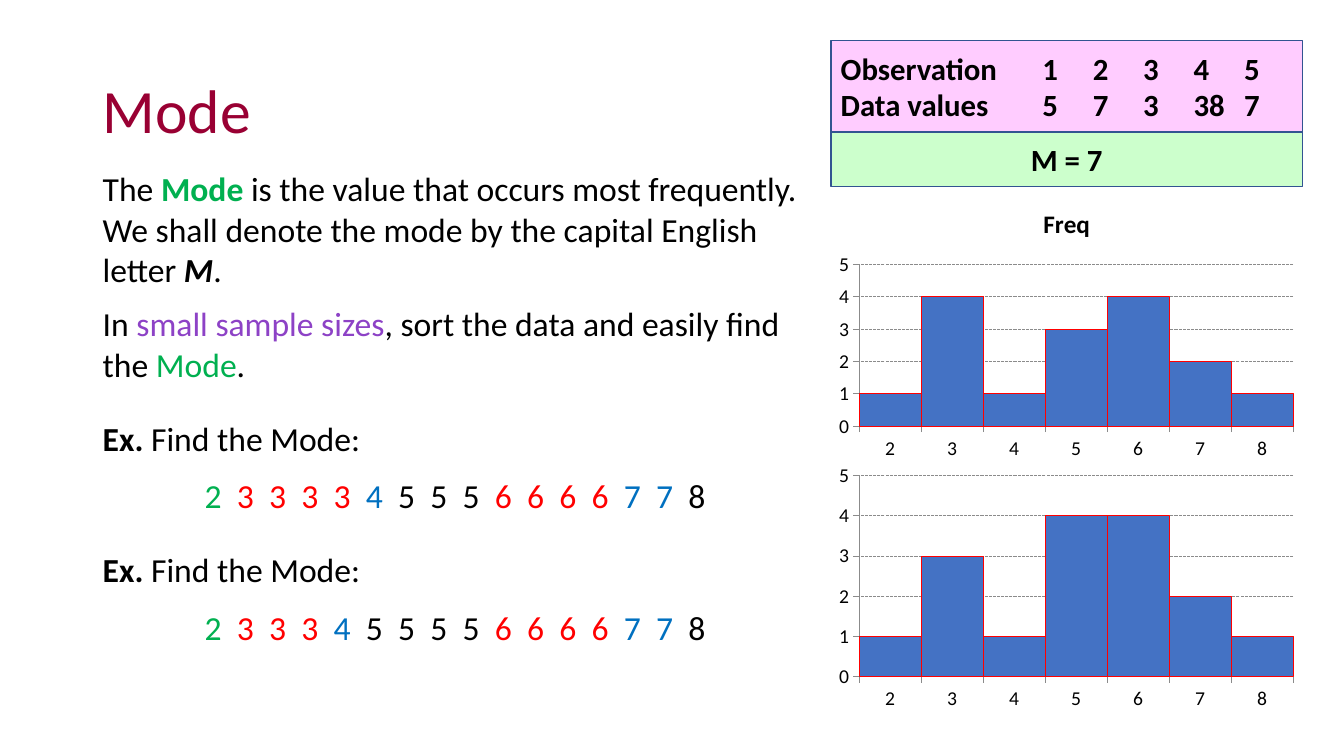
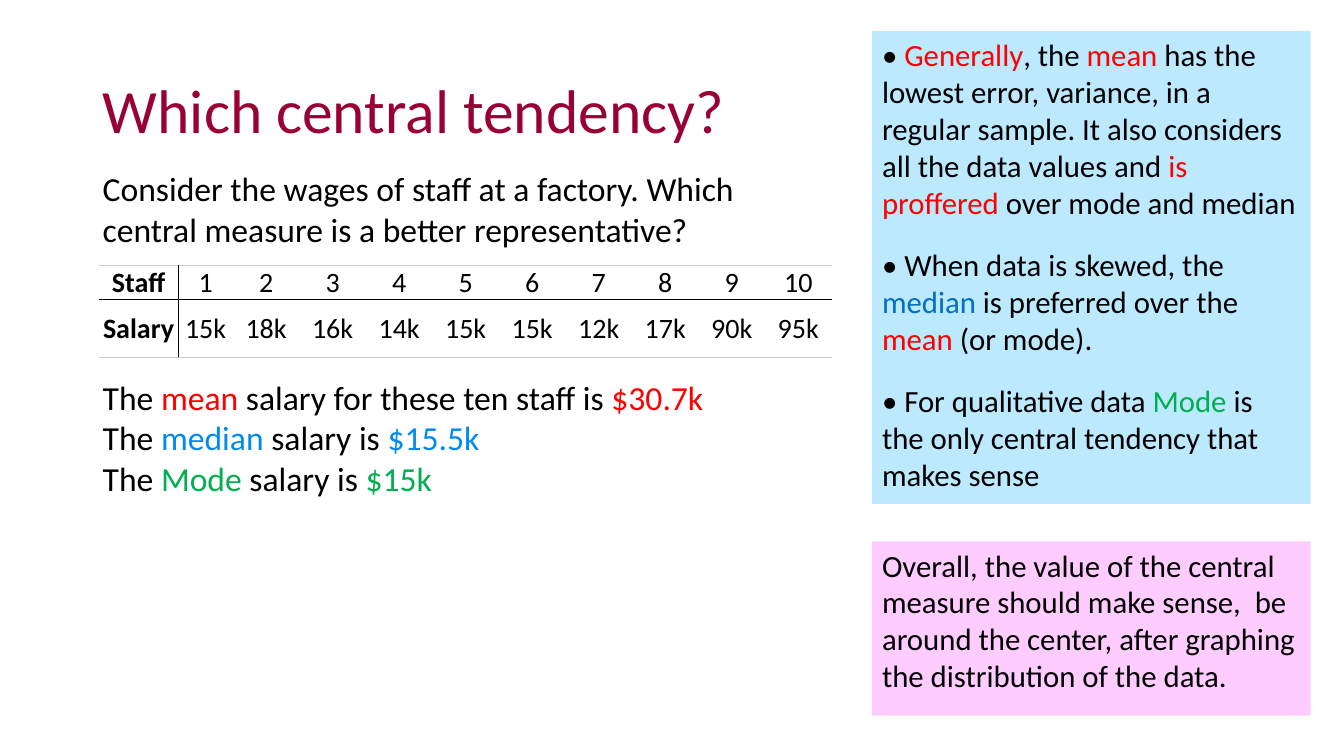
from itertools import groupby

from lxml import etree
from pptx import Presentation
from pptx.chart.data import CategoryChartData
from pptx.dml.color import RGBColor
from pptx.enum.chart import XL_CHART_TYPE, XL_TICK_MARK
from pptx.enum.dml import MSO_LINE
from pptx.enum.shapes import MSO_SHAPE
from pptx.enum.text import MSO_ANCHOR, MSO_AUTO_SIZE, PP_ALIGN
from pptx.oxml.ns import qn
from pptx.util import Inches, Pt

BLACK = RGBColor(0x00, 0x00, 0x00)
GRAY = RGBColor(0x8B, 0x8B, 0x8B)
LIGHT_GRAY = RGBColor(0xCC, 0xCC, 0xCC)
CRIMSON = RGBColor(0x99, 0x00, 0x33)
RED = RGBColor(0xFF, 0x00, 0x00)
GREEN = RGBColor(0x00, 0xB0, 0x50)
BLUE = RGBColor(0x00, 0x70, 0xC0)
BRIGHT_BLUE = RGBColor(0x00, 0x8A, 0xF2)
PURPLE = RGBColor(0x8D, 0x42, 0xC6)
BAR_BLUE = RGBColor(0x44, 0x72, 0xC4)
OUTLINE = RGBColor(0x32, 0x54, 0x91)
PINK = RGBColor(0xFF, 0xCC, 0xFF)
PALE_GREEN = RGBColor(0xCC, 0xFF, 0xCC)
PALE_BLUE = RGBColor(0xBD, 0xE9, 0xFF)

FONT = "Calibri"
BODY_SIZE, BOX_SIZE = 24, 22
LEFT = 0.92
PANEL_LEFT, PANEL_WIDTH = 8.24, 4.68


def write(frame, paragraphs, size, gap=0, align=PP_ALIGN.LEFT, tabs=(), **base):
    """Fill a text frame; a span is plain text or a (text, format) pair.

    The gap in points separates paragraphs, tabs are stops in inches.
    """
    frame.word_wrap = True
    for index, spans in enumerate(paragraphs):
        para = frame.add_paragraph() if index else frame.paragraphs[0]
        para.alignment = align
        para.space_before = Pt(gap if index else 0)
        if tabs:
            stops = etree.SubElement(para._p.get_or_add_pPr(), qn("a:tabLst"))
            for stop in tabs:
                etree.SubElement(stops, qn("a:tab"), pos=str(int(Inches(stop))), algn="l")
        for item in spans:
            text, special = (item, {}) if isinstance(item, str) else item
            span = para.add_run()
            span.text = text
            style = {"name": FONT, "size": Pt(size), "color": BLACK, **base, **special}
            span.font.color.rgb = style.pop("color")
            for name, value in style.items():
                setattr(span.font, name, value)


def add_box(page, bounds, paragraphs, size, fill=None, line=None,
            anchor=MSO_ANCHOR.TOP, **text_format):
    """Add a text box, or a rectangle when a fill is given."""
    place = [Inches(value) for value in bounds]
    if fill is None:
        box = page.shapes.add_textbox(*place)
    else:
        box = page.shapes.add_shape(MSO_SHAPE.RECTANGLE, *place)
        box.shadow.inherit = False
        box.fill.solid()
        box.fill.fore_color.rgb = fill
        if line is None:
            box.line.fill.background()
        else:
            box.line.color.rgb = line
            box.line.width = Pt(1)
    box.text_frame.vertical_anchor = anchor
    write(box.text_frame, paragraphs, size, **text_format)
    return box


deck = Presentation()
deck.slide_width, deck.slide_height = Inches(13.33), Inches(7.5)

pages = []
for heading, width in (("Mode", 7.18), ("Which central tendency?", 7.6)):
    page = deck.slides.add_slide(deck.slide_layouts[5])
    title = page.shapes.title
    title.left, title.top = Inches(LEFT), Inches(0.4)
    title.width, title.height = Inches(width), Inches(1.45)
    title.text_frame.auto_size = MSO_AUTO_SIZE.NONE
    title.text_frame.vertical_anchor = MSO_ANCHOR.MIDDLE
    write(title.text_frame, [[heading]], 44, color=CRIMSON)
    title.text_frame.paragraphs[0].line_spacing = 0.9
    pages.append(page)
mode_page, choice_page = pages

red, green, blue = {"color": RED}, {"color": GREEN}, {"color": BLUE}
bright_blue = {"color": BRIGHT_BLUE}
bold = {"bold": True}

# Mode: definition and worked examples
definition = add_box(mode_page, (LEFT, 1.62, 7.18, 2.26), [
    ["The ", ("Mode ", {**green, **bold}), "is the value that occurs most frequently."],
    ["We shall denote the mode by the capital English letter ",
     ("M", {"bold": True, "italic": True}), "."],
    ["In ", ("small sample sizes", {"color": PURPLE}),
     ", sort the data and easily find the ", ("Mode", green), "."],
], BODY_SIZE)
definition.text_frame.paragraphs[-1].space_before = Pt(10)

number_colors = {2: GREEN, 3: RED, 4: BLUE, 5: BLACK, 6: RED, 7: BLUE, 8: BLACK}
samples = (
    (4.1, [2, 3, 3, 3, 3, 4, 5, 5, 5, 6, 6, 6, 6, 7, 7, 8]),
    (5.4, [2, 3, 3, 3, 4, 5, 5, 5, 5, 6, 6, 6, 6, 7, 7, 8]),
)
for top, sample in samples:
    numbers = [("".join(f"\t{number}" for number in group), {"color": number_colors[value]})
               for value, group in groupby(sample)]
    add_box(mode_page, (LEFT, top, 7.18, 1.08),
            [[("Ex.", bold), " Find the Mode:"], numbers], BODY_SIZE, gap=12,
            tabs=[1.01 + 0.32 * index for index in range(len(sample))])

# Mode: observations and result
add_box(mode_page, (PANEL_LEFT, 0.4, PANEL_WIDTH, 0.91),
        [["Observation\t1\t2\t3\t4\t5"], ["Data values\t5\t7\t3\t38\t7"]],
        BOX_SIZE, PINK, OUTLINE, MSO_ANCHOR.MIDDLE, bold=True,
        tabs=[2 + 0.5 * index for index in range(5)])
add_box(mode_page, (PANEL_LEFT, 1.31, PANEL_WIDTH, 0.54), [["M = 7"]],
        BOX_SIZE, PALE_GREEN, OUTLINE, MSO_ANCHOR.MIDDLE, bold=True,
        align=PP_ALIGN.CENTER)

# Mode: histograms, each with the top and height of its plot as chart fractions
histograms = (
    ("Freq", True, 1.89, 2.72, [1, 4, 1, 3, 4, 2, 1], 0.27, 0.59),
    ("Series 1", False, 4.54, 2.56, [1, 3, 1, 4, 4, 2, 1], 0.07, 0.78),
)
for name, titled, top, height, counts, plot_top, plot_height in histograms:
    data = CategoryChartData()
    data.categories = [str(value) for value in range(2, 9)]
    data.add_series(name, counts)
    chart = mode_page.shapes.add_chart(
        XL_CHART_TYPE.COLUMN_CLUSTERED, Inches(PANEL_LEFT), Inches(top),
        Inches(PANEL_WIDTH), Inches(height), data).chart
    chart.font.name, chart.font.size = FONT, Pt(14)
    chart.font.color.rgb = BLACK
    chart.has_legend = False
    chart.has_title = titled
    if titled:
        write(chart.chart_title.text_frame, [[name]], 18, align=PP_ALIGN.CENTER, bold=True)

    plot = chart.plots[0]
    plot.gap_width = 0
    plot.vary_by_categories = False
    bars = plot.series[0].format
    bars.fill.solid()
    bars.fill.fore_color.rgb = BAR_BLUE
    bars.line.color.rgb = RED
    bars.line.width = Pt(0.75)

    for axis in (chart.category_axis, chart.value_axis):
        axis.major_tick_mark = XL_TICK_MARK.OUTSIDE
        axis.format.line.color.rgb = GRAY
        axis.format.line.width = Pt(0.75)
    counts_axis = chart.value_axis
    counts_axis.minimum_scale, counts_axis.maximum_scale = 0, 5
    counts_axis.major_unit = 1
    gridline = counts_axis.major_gridlines.format.line
    gridline.color.rgb = GRAY
    gridline.width = Pt(0.75)
    gridline.dash_style = MSO_LINE.SQUARE_DOT

    plot_area = chart._chartSpace.chart.plotArea
    for old in plot_area.findall(qn("c:layout")):
        plot_area.remove(old)
    layout = etree.Element(qn("c:layout"))
    plot_area.insert(0, layout)
    manual = etree.SubElement(layout, qn("c:manualLayout"))
    for tag, value in (("layoutTarget", "inner"), ("xMode", "edge"), ("yMode", "edge"),
                       ("x", 0.06), ("y", plot_top), ("w", 0.92), ("h", plot_height)):
        etree.SubElement(manual, qn(f"c:{tag}"), val=str(value))

# Choice: question, salary table and results
add_box(choice_page, (LEFT, 1.62, 6.88, 0.91),
        [["Consider the wages of staff at a factory. "
          "Which central measure is a better representative?"]], BODY_SIZE)

salaries = [15, 18, 16, 14, 15, 15, 12, 17, 90, 95]
rows = [["Staff", *(str(number) for number in range(1, 11))],
        ["Salary", *(f"{salary}k" for salary in salaries)]]
widths = [0.79, 0.54] + [0.66] * 9
table = choice_page.shapes.add_table(
    2, len(widths), Inches(0.98), Inches(2.63), Inches(sum(widths)), Inches(0.91)).table
table.first_row = table.horz_banding = False
for column, width in zip(table.columns, widths):
    column.width = Inches(width)
for row, height in zip(table.rows, (0.34, 0.57)):
    row.height = Inches(height)

for row_index, row in enumerate(rows):
    for column_index, text in enumerate(row):
        cell = table.cell(row_index, column_index)
        cell.fill.background()
        cell.vertical_anchor = MSO_ANCHOR.MIDDLE
        cell.margin_left = cell.margin_right = cell.margin_top = Inches(0.01)
        cell.margin_bottom = 0
        write(cell.text_frame, [[text]], 20, align=PP_ALIGN.CENTER,
              bold=column_index == 0)
        borders = {
            "L": BLACK if column_index == 1 else None,
            "R": BLACK if column_index == 0 else None,
            "T": BLACK if row_index else LIGHT_GRAY,
            "B": LIGHT_GRAY if row_index else BLACK,
        }
        properties = cell._tc.get_or_add_tcPr()
        for position, (side, color) in enumerate(borders.items()):
            border = etree.Element(qn(f"a:ln{side}"), w=str(int(Pt(1))))
            properties.insert(position, border)
            if color is None:
                etree.SubElement(border, qn("a:noFill"))
            else:
                solid = etree.SubElement(border, qn("a:solidFill"))
                etree.SubElement(solid, qn("a:srgbClr"), val=str(color))

results = (("mean", " salary for these ten staff is ", "$30.7k", red),
           ("median", " salary is ", "$15.5k", bright_blue),
           ("Mode", " salary is ", "$15k", green))
add_box(choice_page, (LEFT, 3.69, 6.88, 1.31),
        [["The ", (measure, accent), link, (amount, accent)]
         for measure, link, amount, accent in results], BODY_SIZE)

# Choice: advice
add_box(choice_page, (8.65, 0.31, 4.35, 4.69), [
    ["• ", ("Generally", red), ", the ", ("mean", red),
     " has the lowest error, variance, in a regular sample. "
     "It also considers all the data values and ",
     ("is proffered ", red), "over mode and median"],
    ["• When data is skewed, the ", ("median ", blue), "is preferred over the ",
     ("mean ", red), "(or mode)."],
    ["• For qualitative data ", ("Mode", green),
     " is the only central tendency that makes sense"],
], BOX_SIZE, PALE_BLUE, gap=18)
add_box(choice_page, (8.65, 5.37, 4.35, 1.73),
        [["Overall, the value of the central measure should make sense,  be around "
          "the center, after graphing the distribution of the data."]], BOX_SIZE, PINK)

deck.save("out.pptx")
